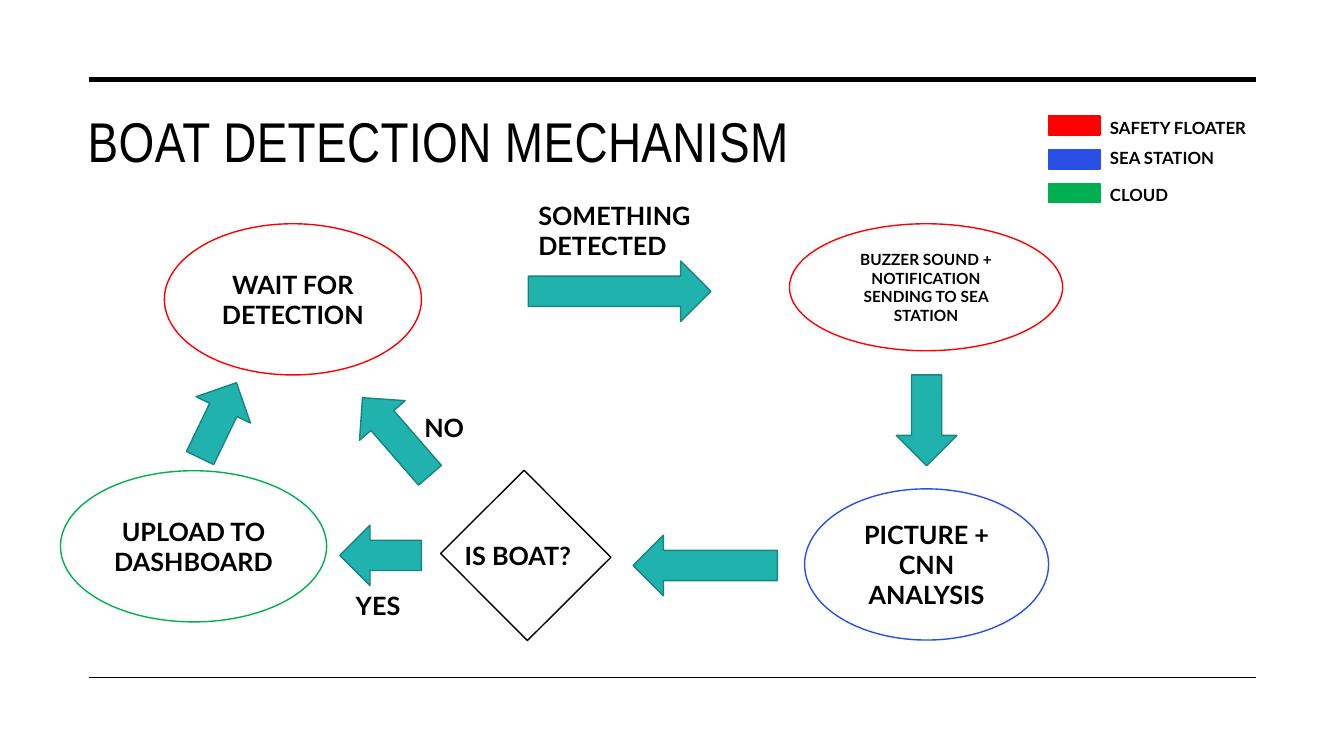
import pptx
import pptx.util
import pptx.dml.color
import pptx.enum.shapes
import pptx.enum.text
import pptx.oxml

Inches = pptx.util.Inches
Pt = pptx.util.Pt
RGBColor = pptx.dml.color.RGBColor
SHAPE = pptx.enum.shapes.MSO_SHAPE
ALIGN = pptx.enum.text.PP_ALIGN
ANCHOR = pptx.enum.text.MSO_ANCHOR
FIT = pptx.enum.text.MSO_AUTO_SIZE

BLACK = RGBColor(0x00, 0x00, 0x00)
WHITE = RGBColor(0xFF, 0xFF, 0xFF)
RED = RGBColor(0xFF, 0x00, 0x00)
BLUE = RGBColor(0x29, 0x4F, 0xE7)
GREEN = RGBColor(0x00, 0xB0, 0x50)
TEAL = RGBColor(0x20, 0xB3, 0xAE)
DARK = RGBColor(0x18, 0x84, 0x81)


class Board:
    head = "Arial Narrow"
    body = "Lato"

    def __init__(self, deck):
        self.slide = deck.slides.add_slide(deck.slide_layouts[5])
        self.shapes = self.slide.shapes

    def style(self, para, size, font, bold=True):
        para.font.name = font
        para.font.size = Pt(size)
        para.font.bold = bold
        para.font.color.rgb = BLACK

    def title(self, text, x, y, w, h):
        title = self.shapes.title
        title.left, title.top, title.width, title.height = map(Inches, (x, y, w, h))
        frame = title.text_frame
        frame.text = text
        frame.auto_size = FIT.NONE
        frame.vertical_anchor = ANCHOR.TOP
        para = frame.paragraphs[0]
        para.alignment = ALIGN.LEFT
        self.style(para, 40, self.head, False)
        para.runs[0]._r.get_or_add_rPr().set("spc", "30")

    def rule(self, y, width):
        line = self.shapes.add_connector(
            pptx.enum.shapes.MSO_CONNECTOR.STRAIGHT,
            Inches(0.88), Inches(y), Inches(12.46), Inches(y))
        line.line.color.rgb = BLACK
        line.line.width = Pt(width)
        line._element.spPr.append(pptx.oxml.parse_xml(
            '<a:effectLst xmlns:a="http://schemas.openxmlformats.org/drawingml/2006/main"/>'))

    def shape(self, kind, x, y, w, h, fill, edge, turn=0):
        shape = self.shapes.add_shape(kind, *map(Inches, (x, y, w, h)))
        shape.shadow.inherit = False
        shape.fill.solid()
        shape.fill.fore_color.rgb = fill
        shape.line.color.rgb = edge
        shape.line.width = Pt(1)
        shape.rotation = turn
        return shape

    def step(self, text, x, y, w, h, edge, size=18):
        shape = self.shape(SHAPE.OVAL, x, y, w, h, WHITE, edge)
        frame = shape.text_frame
        frame.text = text
        frame.word_wrap = True
        frame.vertical_anchor = ANCHOR.MIDDLE
        para = frame.paragraphs[0]
        para.alignment = ALIGN.CENTER
        self.style(para, size, self.body)

    def arrow(self, x, y, w, turn):
        self.shape(SHAPE.RIGHT_ARROW, x, y, w, 0.6, TEAL, DARK, turn)

    def label(self, text, x, y, w, h=0.4, size=18):
        box = self.shapes.add_textbox(*map(Inches, (x, y, w, h)))
        frame = box.text_frame
        frame.word_wrap = True
        frame.text = text
        self.style(frame.paragraphs[0], size, self.body)

    def legend(self, items):
        for row, (text, y, color) in enumerate(items):
            self.shape(SHAPE.RECTANGLE, 10.4, 1.15 + 0.335 * row, 0.51, 0.19, color, color)
            self.label(text, 10.91, y, 1.72, 0.3, 12)


def main():
    deck = pptx.Presentation()
    deck.slide_width = Inches(13.33)
    deck.slide_height = Inches(7.5)
    board = Board(deck)

    board.rule(0.79, 3.5)
    board.rule(6.72, 1)
    board.title("BOAT DETECTION MECHANISM", 0.77, 1.01, 11.69, 1.5)

    for step in (
        ("WAIT FOR DETECTION", 1.63, 2.22, 2.55, 1.5, RED),
        ("BUZZER SOUND + NOTIFICATION SENDING TO SEA STATION", 7.83, 2.22, 2.71, 1.26, RED, 11),
        ("PICTURE + CNN ANALYSIS", 7.98, 4.85, 2.42, 1.5, BLUE),
        ("UPLOAD TO DASHBOARD", 0.6, 4.67, 2.64, 1.5, GREEN),
    ):
        board.step(*step)

    board.shape(SHAPE.RECTANGLE, 4.63, 4.9, 1.17, 1.22, WHITE, BLACK, 315.1)

    for arrow in (
        (5.24, 2.59, 1.81, 0),
        (8.74, 3.87, 0.9, 90),
        (6.28, 5.31, 1.43, 180),
        (3.42, 4.03, 1.02, 229),
        (3.37, 5.21, 0.81, 180),
        (1.75, 3.87, 0.83, 295.8),
    ):
        board.arrow(*arrow)

    board.label("IS BOAT?", 4.51, 5.31, 1.41)
    board.label("NO", 4.11, 4.04, 0.76)
    board.label("YES", 3.43, 5.81, 0.76)
    board.label("SOMETHING DETECTED", 5.24, 1.94, 2.19, 0.71)
    board.legend((
        ("SAFETY FLOATER", 1.12, RED),
        ("SEA STATION", 1.42, BLUE),
        ("CLOUD", 1.78, GREEN),
    ))

    deck.save("out.pptx")


if __name__ == "__main__":
    main()
